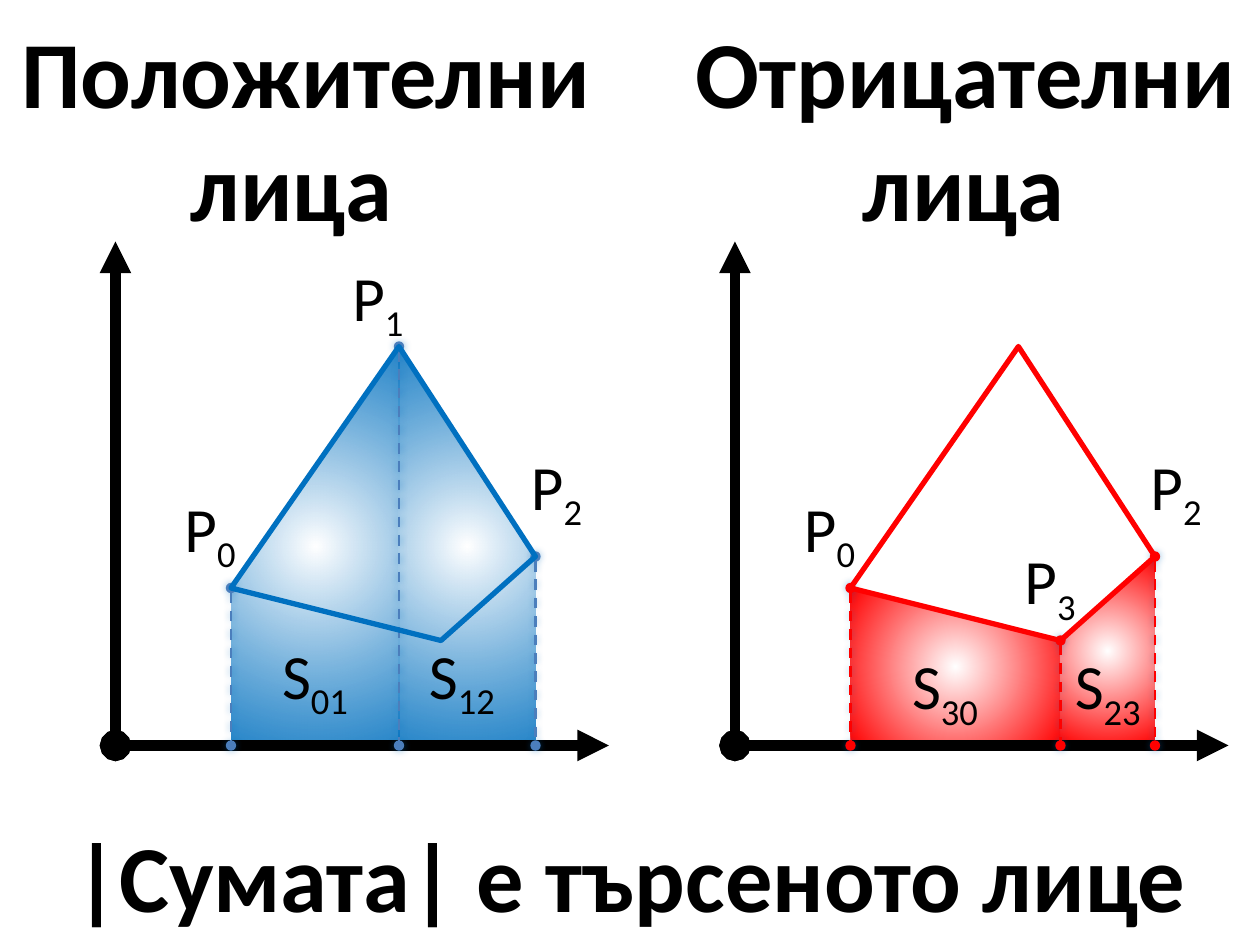
from dataclasses import dataclass

from lxml import etree
from pptx import Presentation
from pptx import util as u
from pptx.dml.color import RGBColor
from pptx.enum import dml, text
from pptx.oxml import parse_xml
from pptx.oxml.ns import nsdecls, qn

FONT = "Calibri"
COLOURS = {"ink": "000000", "white": "FFFFFF", "blue": "0070C0",
           "steel": "4B7EBC", "red": "FF0000"}
PANEL_GAP = 354
AXIS_X, AXIS_Y = 66, 426
AXIS_TOP, AXIS_RIGHT = 138, 348
P0, P1, P2, P3 = QUAD = [(132, 336), (228, 198), (306, 318), (252, 366)]


@dataclass(frozen=True)
class Label:
    letter: str
    index: str
    left: float
    top: float
    width: float = 48


@dataclass(frozen=True)
class Panel:
    """One coordinate system; coordinates are relative to shift."""
    shift: float
    outline: str
    drop_line: str
    fill_alpha: int
    edges: tuple
    labels: tuple


@dataclass(frozen=True)
class TitleLine:
    words: str
    align: text.PP_ALIGN
    before: float = 0
    tabs: tuple = ()


LABEL_P0 = Label("P", "0", 96, 276)
LABEL_P2 = Label("P", "2", 294, 252)
PANELS = [
    Panel(0, "blue", "steel", 85, (P0, P1, P2),
          (LABEL_P0, Label("P", "1", 192, 144), LABEL_P2,
           Label("S", "01", 150, 360, 60), Label("S", "12", 234, 360, 60))),
    Panel(PANEL_GAP, "red", "red", 100, (P0, P3, P2),
          (LABEL_P0, Label("P", "3", 222, 306), LABEL_P2,
           Label("S", "30", 156, 366, 60), Label("S", "23", 249, 366, 60))),
]
TITLE = [
    TitleLine("\tПоложителни\tОтрицателни", text.PP_ALIGN.LEFT, tabs=(167.5, 544.5)),
    TitleLine("\tлица\tлица", text.PP_ALIGN.LEFT, tabs=(159.5, 543.5)),
    TitleLine("|Сумата| е търсеното лице", text.PP_ALIGN.CENTER, before=329.5),
]


def rgb(name: str) -> RGBColor:
    return RGBColor.from_string(COLOURS[name])


def add_span(para, words: str, size: float, **formats):
    span = para.add_run()
    span.text = words
    for key, value in {"name": FONT, "size": u.Pt(size), **formats}.items():
        setattr(span.font, key, value)
    span.font.color.rgb = rgb("ink")
    return span


def write_title(page) -> None:
    box = page.shapes.title
    box.left, box.top, box.width, box.height = map(u.Pt, (0, 0, 720, 540))
    frame = box.text_frame
    for key, value in {"word_wrap": True, "auto_size": text.MSO_AUTO_SIZE.NONE,
                       "vertical_anchor": text.MSO_ANCHOR.MIDDLE}.items():
        setattr(frame, key, value)
    for number, line in enumerate(TITLE):
        para = frame.add_paragraph() if number else frame.paragraphs[0]
        para.alignment = line.align
        para.space_before = u.Pt(line.before)
        if line.tabs:
            stops = etree.SubElement(para._p.get_or_add_pPr(), qn("a:tabLst"))
            for place in line.tabs:
                etree.SubElement(stops, qn("a:tab"), pos=str(u.Pt(place)), algn="ctr")
        add_span(para, line.words, 54, bold=True)


def add_polygon(page, points: list, shift: float):
    corners = [(u.Pt(x + shift), u.Pt(y)) for x, y in points]
    builder = page.shapes.build_freeform(*corners[0])
    builder.add_line_segments(corners[1:], close=True)
    shape = builder.convert_to_shape()
    shape.shadow.inherit = False
    return shape


def fill_radially(shape, colour: str, alpha: int) -> None:
    """Fill from a white centre out to the colour."""
    gradient = parse_xml(
        f'<a:gradFill {nsdecls("a")} rotWithShape="1"><a:gsLst>'
        f'<a:gs pos="0"><a:srgbClr val="{COLOURS["white"]}"/></a:gs>'
        f'<a:gs pos="100000"><a:srgbClr val="{COLOURS[colour]}">'
        f'<a:alpha val="{alpha * 1000}"/></a:srgbClr></a:gs></a:gsLst>'
        '<a:path path="circle"><a:fillToRect l="50000" t="50000" r="50000" b="50000"/>'
        '</a:path></a:gradFill>')
    shape._element.spPr.find(qn("a:custGeom")).addnext(gradient)
    shape.line.fill.background()


def add_line(page, start: tuple, end: tuple, shift: float, colour: str,
             width: float, tail: str):
    (x1, y1), (x2, y2) = start, end
    line = page.shapes.add_connector(
        1, u.Pt(x1 + shift), u.Pt(y1), u.Pt(x2 + shift), u.Pt(y2))
    line.line.color.rgb = rgb(colour)
    line.line.width = u.Pt(width)
    if tail == "oval":
        line.line.dash_style = dml.MSO_LINE.DASH
    for tag, kind in (("a:headEnd", "oval"), ("a:tailEnd", tail)):
        etree.SubElement(line.line._get_or_add_ln(), qn(tag), type=kind)
    effects = etree.SubElement(line._element.spPr, qn("a:effectLst"))
    return effects


def add_drop_line(page, point: tuple, panel: Panel) -> None:
    """Dashed line with a soft blue glow from a corner down to the axis."""
    effects = add_line(page, point, (point[0], AXIS_Y), panel.shift,
                       panel.drop_line, 1.5, "oval")
    effects.append(parse_xml(
        f'<a:outerShdw {nsdecls("a")} blurRad="{u.Pt(4)}" dist="0" dir="16200000" '
        f'rotWithShape="0"><a:srgbClr val="{COLOURS["blue"]}">'
        '<a:alpha val="40000"/></a:srgbClr></a:outerShdw>'))


def add_label(page, label: Label, shift: float) -> None:
    box = page.shapes.add_textbox(u.Pt(label.left + shift), u.Pt(label.top),
                                  u.Pt(label.width), u.Pt(72))
    box.text_frame.word_wrap = True
    para = box.text_frame.paragraphs[0]
    para.alignment = text.PP_ALIGN.CENTER
    add_span(para, label.letter, 36)
    index = add_span(para, label.index, 36)
    index.font._element.set("baseline", "-25000")


def draw_panel(page, panel: Panel) -> None:
    for left, right in zip(panel.edges, panel.edges[1:]):
        trapezoid = [left, right, (right[0], AXIS_Y), (left[0], AXIS_Y)]
        fill_radially(add_polygon(page, trapezoid, panel.shift),
                      panel.outline, panel.fill_alpha)
    for end in ((AXIS_X, AXIS_TOP), (AXIS_RIGHT, AXIS_Y)):
        add_line(page, (AXIS_X, AXIS_Y), end, panel.shift, "ink", 6, "triangle")
    for point in panel.edges:
        add_drop_line(page, point, panel)
    outline = add_polygon(page, QUAD, panel.shift)
    outline.fill.background()
    outline.line.color.rgb = rgb(panel.outline)
    outline.line.width = u.Pt(3)
    for label in panel.labels:
        add_label(page, label, panel.shift)


def main() -> None:
    deck = Presentation()
    deck.slide_width, deck.slide_height = u.Pt(720), u.Pt(540)
    page = deck.slides.add_slide(deck.slide_layouts[5])
    write_title(page)
    for panel in PANELS:
        draw_panel(page, panel)
    deck.save("out.pptx")


if __name__ == "__main__":
    main()
